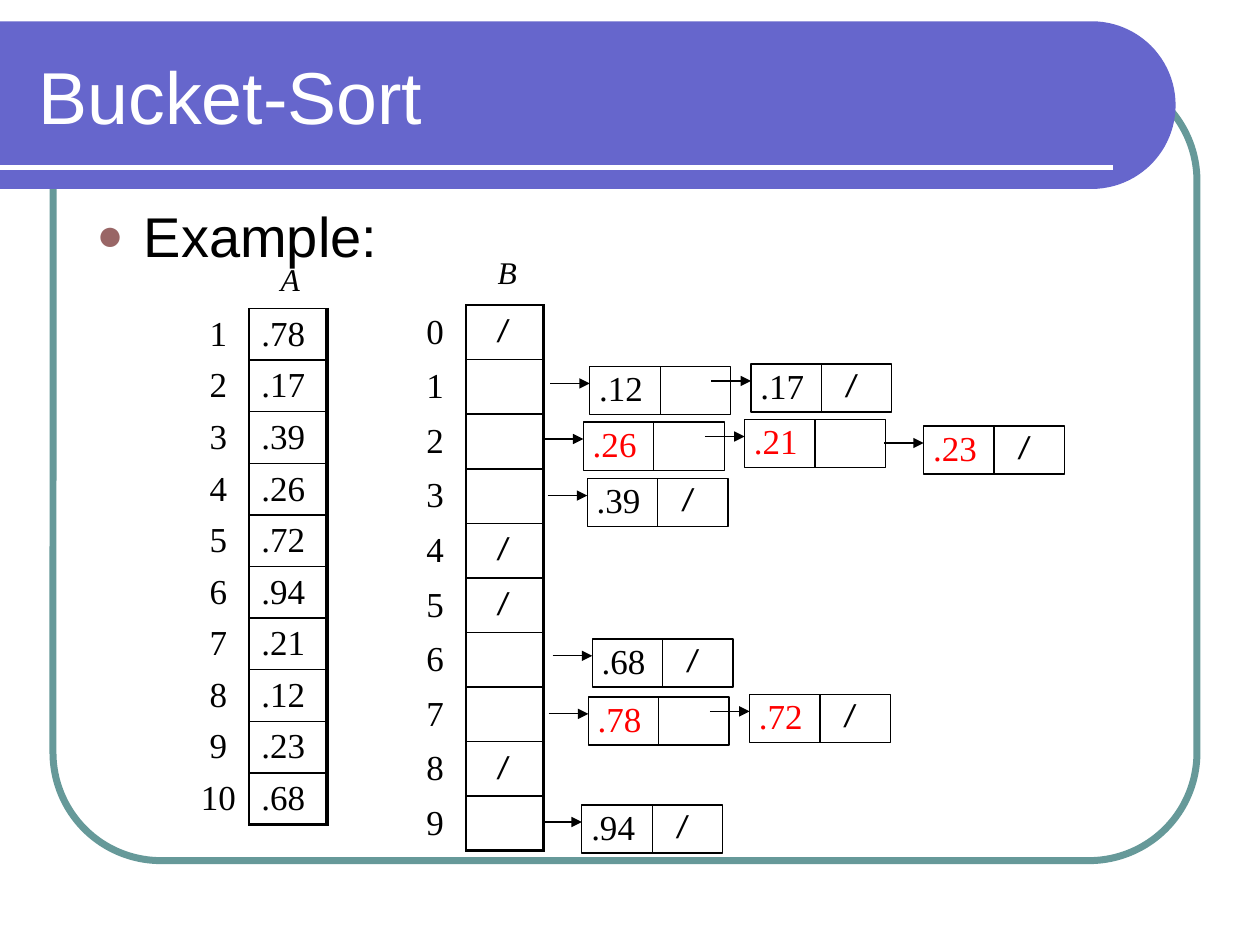
"""Build the Bucket-Sort example slide."""
from math import cos, pi, sin

from lxml import etree
from pptx import Presentation
from pptx.dml.color import RGBColor
from pptx.enum.shapes import MSO_CONNECTOR, MSO_SHAPE
from pptx.enum.text import MSO_ANCHOR, PP_ALIGN
from pptx.oxml.ns import qn
from pptx.util import Cm, Pt

STRAIGHT = MSO_CONNECTOR.STRAIGHT
RECT, ROUND_RECT = MSO_SHAPE.RECTANGLE, MSO_SHAPE.ROUNDED_RECTANGLE
TOP, MIDDLE = MSO_ANCHOR.TOP, MSO_ANCHOR.MIDDLE
CENTER = PP_ALIGN.CENTER

BLACK = RGBColor(0x00, 0x00, 0x00)
WHITE = RGBColor(0xFF, 0xFF, 0xFF)
RED = RGBColor(0xFF, 0x00, 0x00)
TEAL = RGBColor(0x66, 0x99, 0x99)
VIOLET = RGBColor(0x66, 0x66, 0xCC)
SANS, SERIF = "Arial", "Times New Roman"
NO_STYLE = "{2D5ABB26-0587-4C30-8999-92F81FD0307C}"

INPUT = [".78", ".17", ".39", ".26", ".72", ".94", ".21", ".12", ".23", ".68"]
BUCKETS = 10
CHAINS = {
    1: [(".12", 11.89, 7.39, BLACK), (".17", 15.14, 7.34, BLACK)],
    2: [(".26", 11.76, 8.51, RED), (".21", 15.01, 8.46, RED),
        (".23", 18.62, 8.59, RED)],
    3: [(".39", 11.84, 9.65, BLACK)],
    6: [(".68", 11.94, 12.88, BLACK)],
    7: [(".78", 11.86, 14.05, RED), (".72", 15.11, 14.0, RED)],
    9: [(".94", 11.73, 16.23, BLACK)],
}
ARRAYS = [
    ("A", 5.41, 5.11, 3.78, 5.18, 1.04,
     [(str(i), v) for i, v in enumerate(INPUT, 1)]),
    ("B", 9.78, 4.98, 8.15, 5.05, 1.1,
     [(str(i), "") for i in range(BUCKETS)]),
]
INDEX_W, VALUE_W = 1.24, 1.57
NODE_W, NODE_H = 2.84, 0.97


def style(p, size, font, color, italic=False):
    for r in p.runs:
        r.font.size, r.font.name, r.font.italic = Pt(size), font, italic
        r.font.color.rgb = color


def add_text(s, text, box, size, font, color, italic=False, wrap=False, anchor=TOP):
    tf = s.shapes.add_textbox(*map(Cm, box)).text_frame
    tf.word_wrap, tf.vertical_anchor = wrap, anchor
    tf.text = text
    style(tf.paragraphs[0], size, font, color, italic)
    return tf.paragraphs[0]


def add_slash(s, x, y):
    add_text(s, "/", (x, y, 0.76, 1.02), 18, SANS, BLACK, italic=True)


def add_line(s, x1, y1, x2, y2, color=BLACK, width=0.75, arrow=False):
    line = s.shapes.add_connector(STRAIGHT, Cm(x1), Cm(y1), Cm(x2), Cm(y2))
    line.line.color.rgb, line.line.width = color, Pt(width)
    if arrow:
        etree.SubElement(line.line._get_or_add_ln(), qn("a:tailEnd"), type="triangle")
    etree.SubElement(line._element.spPr, qn("a:effectLst"))
    return line


def add_outline(s, kind, box, color, width):
    sp = s.shapes.add_shape(kind, *map(Cm, box))
    sp.shadow.inherit = False
    sp.fill.background()
    sp.line.color.rgb, sp.line.width = color, Pt(width)
    return sp


def add_banner(s, top, radius, center_x, steps=48):
    arc = [(center_x + radius * sin(pi * i / steps),
            top + radius - radius * cos(pi * i / steps)) for i in range(steps + 1)]
    points = [(Cm(x), Cm(y)) for x, y in arc + [(0, top + 2 * radius)]]
    fb = s.shapes.build_freeform(0, Cm(top))
    fb.add_line_segments(points, close=True)
    sp = fb.convert_to_shape()
    sp.shadow.inherit = False
    sp.fill.solid()
    sp.fill.fore_color.rgb = VIOLET
    sp.line.fill.background()


def set_borders(cell, **widths):
    tc_pr = cell._tc.get_or_add_tcPr()
    for side in "LRTB":
        if side in widths:
            ln = etree.SubElement(tc_pr, qn("a:ln" + side), w=str(Pt(widths[side])))
            fill = etree.SubElement(ln, qn("a:solidFill"))
            etree.SubElement(fill, qn("a:srgbClr"), val=str(BLACK))


def add_array(s, rows, x, y, row_h):
    table = s.shapes.add_table(len(rows) + 1, 2, Cm(x), Cm(y), Cm(INDEX_W + VALUE_W),
                               Cm(row_h * (len(rows) + 1))).table
    table._tbl.tblPr.find(qn("a:tableStyleId")).text = NO_STYLE
    table.first_row = table.horz_banding = False
    for col, width in zip(table.columns, (INDEX_W, VALUE_W)):
        col.width = Cm(width)
    for i, row in enumerate([("", "")] + rows):
        table.rows[i].height = Cm(row_h)
        for j, text in enumerate(row):
            cell = table.cell(i, j)
            cell.margin_top = cell.margin_bottom = 0
            cell.margin_left = cell.margin_right = Cm(0.25 * j)
            cell.vertical_anchor = MIDDLE
            cell.text = text
            p = cell.text_frame.paragraphs[0]
            style(p, 20, SERIF, BLACK)
            if j == 0:
                p.alignment = CENTER
            elif i == 0:
                set_borders(cell, B=1)
            else:
                set_borders(cell, L=1, R=2.25, T=1, B=2.25 if i == len(rows) else 1)
            cell.fill.background()


def add_node(s, value, x, y, color, last):
    rect = add_outline(s, RECT, (x, y, NODE_W, NODE_H), BLACK, 0.75)
    divider = add_line(s, x + NODE_W / 2, y, x + NODE_W / 2, y + NODE_H)
    divider.begin_connect(rect, 0)
    divider.end_connect(rect, 2)
    add_text(s, value, (x - 0.06, y - 0.12, 1.4, 1.09), 20, SERIF, color)
    add_line(s, x - 0.8, y + 0.34, x, y + 0.34, arrow=True)
    if last:
        add_slash(s, x + 1.68, y - 0.09)


def add_bullet(p, indent):
    p_pr = p._p.get_or_add_pPr()
    p_pr.set("marL", str(Cm(indent)))
    p_pr.set("indent", str(-Cm(indent)))
    color = etree.SubElement(p_pr, qn("a:buClr"))
    etree.SubElement(color, qn("a:srgbClr"), val="996666")
    etree.SubElement(p_pr, qn("a:buSzPct"), val="80000")
    etree.SubElement(p_pr, qn("a:buFont"), typeface=SANS)
    etree.SubElement(p_pr, qn("a:buChar"), char="●")


def main():
    prs = Presentation()
    prs.slide_width, prs.slide_height = Cm(25.4), Cm(19.05)
    s = prs.slides.add_slide(prs.slide_layouts[6])

    frame = add_outline(s, ROUND_RECT, (1.07, 1.47, 23.06, 15.88), TEAL, 4)
    frame.adjustments[0] = 0.137
    add_banner(s, 0.43, 1.69, 22.01)
    add_line(s, 0, 3.38, 22.43, 3.38, WHITE, 3)
    add_text(s, "Bucket-Sort", (0.53, 0.64, 22.28, 2.54), 42, SANS, WHITE,
             wrap=True, anchor=MIDDLE)
    p = add_text(s, "Example:", (1.7, 3.94, 22.02, 12.8), 32, SANS, BLACK, wrap=True)
    p.space_before = Pt(3)
    add_bullet(p, 0.95)

    for name, label_x, label_y, x, y, row_h, rows in ARRAYS:
        add_array(s, rows, x, y, row_h)
        add_text(s, name, (label_x, label_y, 0.89, 1.02), 18, SERIF, BLACK, italic=True)

    for bucket in range(BUCKETS):
        chain = CHAINS.get(bucket, [])
        for i, node in enumerate(chain, 1):
            add_node(s, *node, last=i == len(chain))
        if not chain:
            add_slash(s, 9.8, 6.15 + 1.1 * bucket)

    prs.save("out.pptx")


if __name__ == "__main__":
    main()
